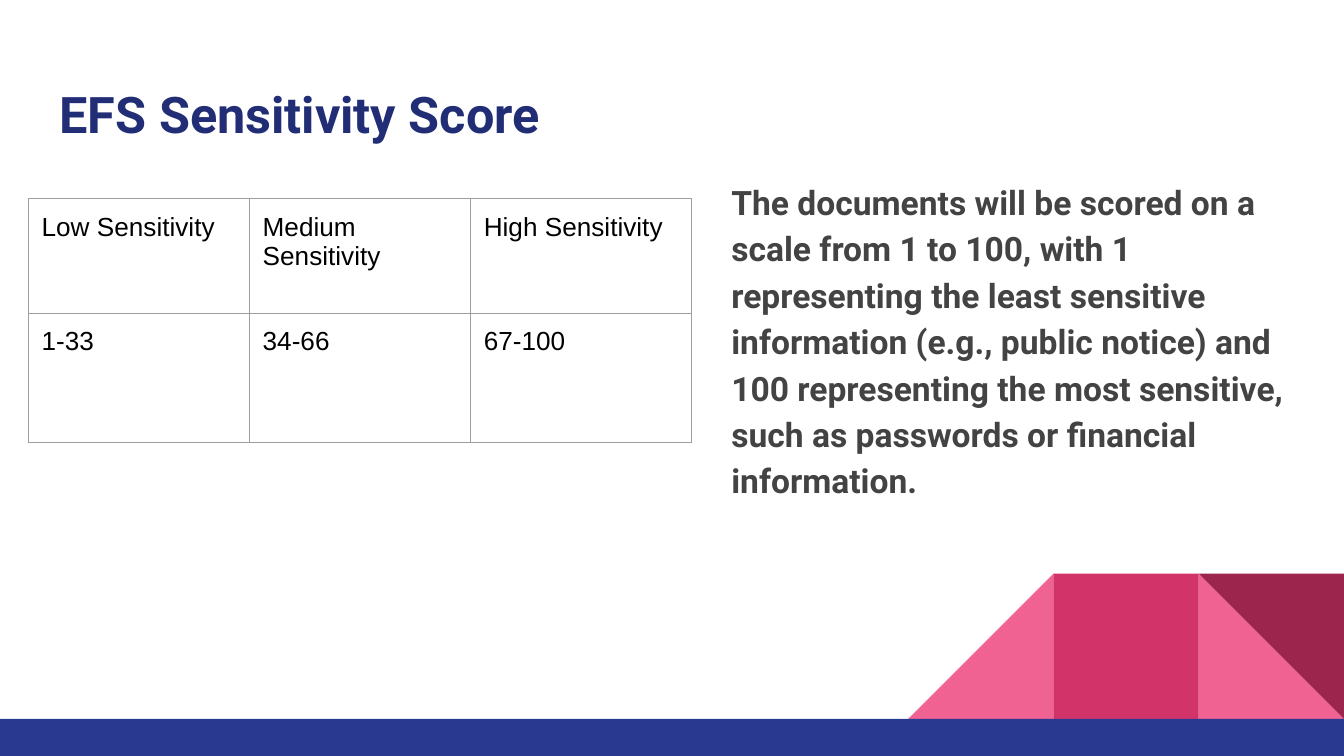
from pptx import Presentation, util as u
from pptx.dml.color import RGBColor
from pptx.enum import shapes, text
from pptx.oxml import parse_xml
from pptx.oxml.ns import nsdecls

WIDTH = u.Inches(10)
HEIGHT = WIDTH * 9 // 16
COL, ROW = WIDTH / 100, HEIGHT / 100  # one hundredth of the slide each way


def color(hex_string):
    return RGBColor.from_string(hex_string)


def write(frame, words, font="Roboto", size=18, ink="434343", bold=True, spacing=1.15):
    frame.word_wrap = True
    frame.vertical_anchor = text.MSO_ANCHOR.TOP
    frame.margin_left = frame.margin_right = u.Inches(0.1)
    frame.margin_top = frame.margin_bottom = u.Inches(0.1)
    paragraph = frame.paragraphs[0]
    paragraph.line_spacing = spacing
    run = paragraph.add_run()
    run.text = words
    run.font.name, run.font.size, run.font.bold = font, u.Pt(size), bold
    run.font.color.rgb = color(ink)


deck = Presentation()
deck.slide_width, deck.slide_height = WIDTH, HEIGHT
slide = deck.slides.add_slide(deck.slide_layouts[6])

# Corner decoration: three square tiles standing on a full-width bar
tile = 10.81 * COL
bar_top = 95.1 * ROW
triangle, rectangle = shapes.MSO_SHAPE.RIGHT_TRIANGLE, shapes.MSO_SHAPE.RECTANGLE
decoration = [  # kind, left, top, width, height, turn, fill
    (triangle, WIDTH - tile, bar_top - tile, tile, tile, 0, "F06292"),
    (triangle, WIDTH - 3 * tile, bar_top - tile, tile, tile, 270, "F06292"),
    (rectangle, WIDTH - 2 * tile, bar_top - tile, tile, tile, 0, "D23369"),
    (triangle, WIDTH - tile, bar_top - tile, tile, tile, 180, "9C254D"),
    (rectangle, 0, bar_top, WIDTH, HEIGHT - bar_top, 0, "2A3990"),
]
for kind, left, top, width, height, turn, fill in decoration:
    piece = slide.shapes.add_shape(kind, *map(int, (left, top, width, height)))
    piece.rotation = turn
    piece.shadow.inherit = False
    piece.fill.solid()
    piece.fill.fore_color.rgb = color(fill)
    piece.line.fill.background()

# Title
title = slide.shapes.add_textbox(*map(int, (3.45 * COL, 8 * ROW, 93.2 * COL, 11.8 * ROW)))
write(title.text_frame, "EFS Sensitivity Score", size=27, ink="212D74")

# Explanation
explanation = slide.shapes.add_textbox(*map(int, (53.43 * COL, 21.5 * ROW, 46.57 * COL, 65 * ROW)))
write(explanation.text_frame,
      "The documents will be scored on a scale from 1 to 100, with 1 representing "
      "the least sensitive information (e.g., public notice) and 100 representing "
      "the most sensitive, such as passwords or financial information.")

# Score bands
bands = [("Low Sensitivity", "Medium Sensitivity", "High Sensitivity"),
         ("1-33", "34-66", "67-100")]
row_heights = [15.15 * ROW, 17.1 * ROW]
scores = slide.shapes.add_table(2, 3, *map(int, (
    2.1 * COL, 26.3 * ROW, 49.35 * COL, sum(row_heights)))).table
scores.first_row = scores.horz_banding = False
for row, height, labels in zip(scores.rows, row_heights, bands):
    row.height = int(height)
    for cell, label in zip(row.cells, labels):
        write(cell.text_frame, label, font="Arial", size=14, ink="000000",
              bold=False, spacing=1.0)
        cell.margin_left = cell.margin_right = u.Inches(0.1)
        cell.margin_top = cell.margin_bottom = u.Inches(0.1)
        cell.vertical_anchor = text.MSO_ANCHOR.TOP
        borders = cell._tc.get_or_add_tcPr()
        for side in ("lnL", "lnR", "lnT", "lnB"):
            borders.append(parse_xml(
                f'<a:{side} {nsdecls("a")} w="{u.Pt(0.75)}"><a:solidFill>'
                f'<a:srgbClr val="9E9E9E"/></a:solidFill></a:{side}>'))
        cell.fill.background()

deck.save("out.pptx")
